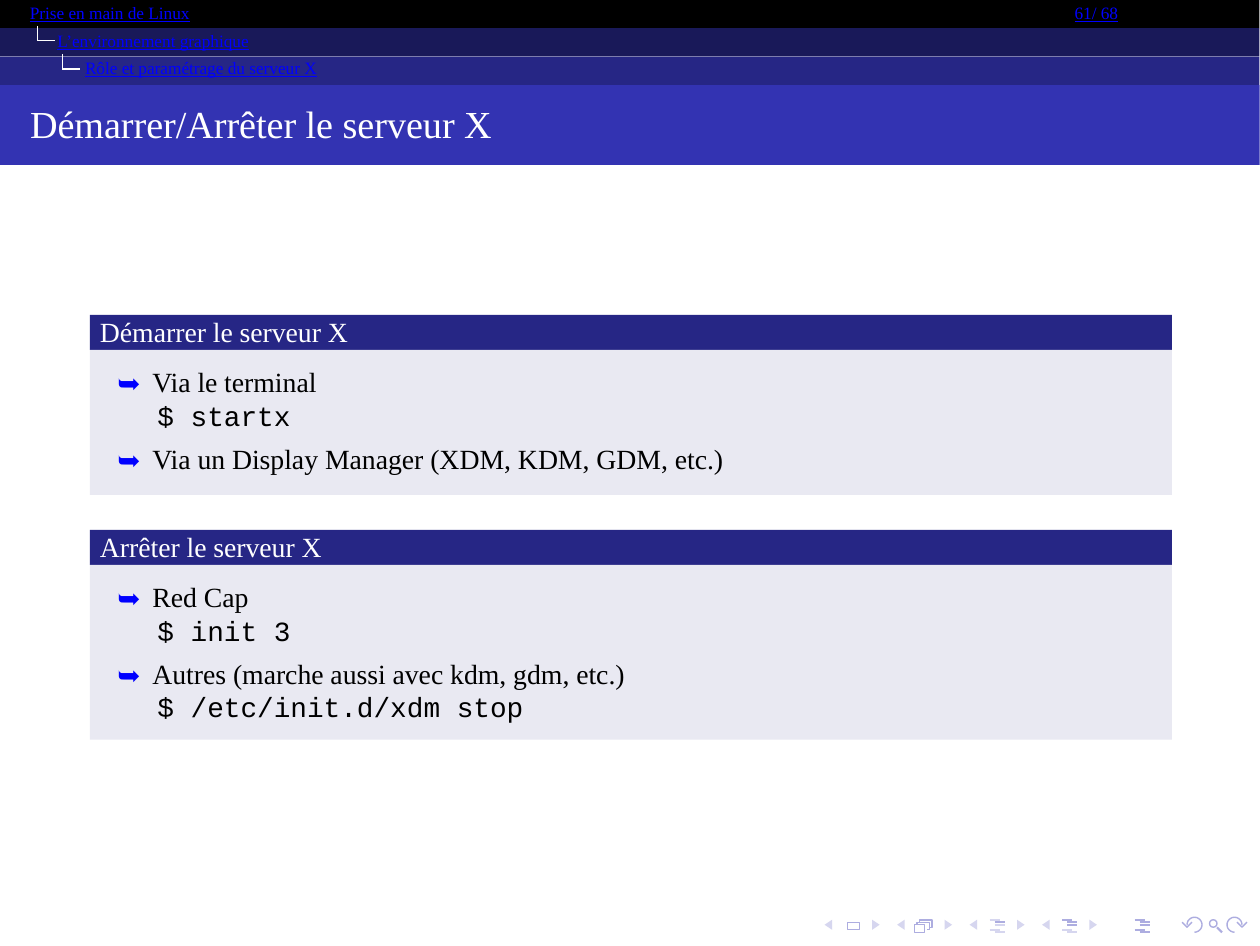
"""Build the slide on starting and stopping the X server."""
import math

from lxml import etree
from pptx import Presentation
from pptx.dml.color import RGBColor
from pptx.enum.shapes import MSO_CONNECTOR, MSO_SHAPE
from pptx.enum.text import MSO_ANCHOR, MSO_AUTO_SIZE, PP_ALIGN
from pptx.oxml.ns import qn
from pptx.util import Inches, Pt

STRAIGHT = MSO_CONNECTOR.STRAIGHT
RECTANGLE, OVAL = MSO_SHAPE.RECTANGLE, MSO_SHAPE.OVAL
TOP, LEFT, NO_AUTOFIT = MSO_ANCHOR.TOP, PP_ALIGN.LEFT, MSO_AUTO_SIZE.NONE
SERIF, MONO, BULLET_FONT = "Times New Roman", "Courier New", "Noto Sans CJK JP"
WHITE, BLACK, LINK = "FFFFFF", "000000", "0000FF"
TITLE_BLUE, HEADING_BLUE, BLOCK_GREY = "3333B2", "262685", "E9E9F2"
NAV_DARK, NAV_LIGHT = "ADADE0", "D6D6EF"
BAND_WIDTH = 5.04


def rgb(hex_color):
    return RGBColor.from_string(hex_color)


class LectureSlide:
    def __init__(self, slide):
        self.slide = slide
        self.shapes = slide.shapes

    def paint(self, shape, fill=None, line=None, weight=0.4):
        shape.shadow.inherit = False
        if fill:
            shape.fill.solid()
            shape.fill.fore_color.rgb = rgb(fill)
        else:
            shape.fill.background()
        if line:
            shape.line.color.rgb = rgb(line)
            shape.line.width = Pt(weight)
        else:
            shape.line.fill.background()

    def box(self, kind, left, top, width, height, **style):
        shape = self.shapes.add_shape(
            kind, Inches(left), Inches(top), Inches(width), Inches(height))
        self.paint(shape, **style)

    def outline(self, contours, closed=False, **style):
        first, *others = [[(Inches(x), Inches(y)) for x, y in c] for c in contours]
        builder = self.shapes.build_freeform(*first[0], scale=1.0)
        builder.add_line_segments(first[1:], close=closed)
        for contour in others:
            builder.move_to(*contour[0])
            builder.add_line_segments(contour[1:], close=closed)
        self.paint(builder.convert_to_shape(), **style)

    def line(self, x1, y1, x2, y2, color, weight=0.4):
        connector = self.shapes.add_connector(
            STRAIGHT, Inches(x1), Inches(y1), Inches(x2), Inches(y2))
        connector.line.color.rgb = rgb(color)
        connector.line.width = Pt(weight)
        etree.SubElement(connector._element.spPr, qn("a:effectLst"))

    def frame(self, text_frame, left=0, top=0, wrap=True):
        text_frame.auto_size = NO_AUTOFIT
        text_frame.word_wrap = wrap
        text_frame.vertical_anchor = TOP
        text_frame.margin_left, text_frame.margin_top = Inches(left), Inches(top)
        text_frame.margin_right = text_frame.margin_bottom = 0

    def style(self, paragraph, size, color, font=SERIF, underline=None):
        paragraph.alignment = LEFT
        paragraph.font.size = Pt(size)
        paragraph.font.name = font
        paragraph.font.bold = False
        paragraph.font.underline = underline
        paragraph.font.color.rgb = rgb(color)
        paragraph._p.pPr.find(qn("a:defRPr")).set("spc", "-4")

    def crumb(self, text, left, top, width):
        label = self.shapes.add_textbox(
            Inches(left), Inches(top), Inches(width), Inches(0.09)).text_frame
        self.frame(label, wrap=False)
        label.text = text
        self.style(label.paragraphs[0], 5, LINK, underline=True)

    def placeholder(self, index, top, height, fill, left=0.36, width=4.33):
        holder = self.slide.placeholders[index]
        holder.left, holder.top = Inches(left), Inches(top)
        holder.width, holder.height = Inches(width), Inches(height)
        holder.fill.solid()
        holder.fill.fore_color.rgb = rgb(fill)
        return holder.text_frame

    def title(self, text):
        title = self.placeholder(0, 0.34, 0.32, TITLE_BLUE, 0, BAND_WIDTH)
        self.frame(title, 0.12, 0.06)
        title.text = text
        self.style(title.paragraphs[0], 11, WHITE)

    def heading(self, index, text, top):
        heading = self.placeholder(index, top, 0.14, HEADING_BLUE)
        self.frame(heading, 0.04)
        heading.text = text
        heading.paragraphs[0].space_before = 0
        self.style(heading.paragraphs[0], 8, WHITE)

    def bullet(self, paragraph, is_command):
        properties = paragraph._p.get_or_add_pPr()
        properties.set("marL", str(Inches(0.27 if is_command else 0.25)))
        properties.set("indent", str(0 if is_command else Inches(-0.14)))
        if is_command:
            etree.SubElement(properties, qn("a:buNone"))
            return
        color = etree.SubElement(properties, qn("a:buClr"))
        etree.SubElement(color, qn("a:srgbClr"), val=LINK)
        etree.SubElement(properties, qn("a:buFont"), typeface=BULLET_FONT)
        etree.SubElement(properties, qn("a:buChar"), char="➥")

    def steps(self, index, lines, top, height):
        body = self.placeholder(index, top, height, BLOCK_GREY)
        self.frame(body, top=0.06)
        body.text = "\n".join(lines)
        for number, paragraph in enumerate(body.paragraphs):
            is_command = paragraph.text.startswith("$")
            self.bullet(paragraph, is_command)
            paragraph.line_spacing = Pt(9.6)
            paragraph.space_before = Pt(2.9 if number and not is_command else 0)
            self.style(paragraph, 8, BLACK, MONO if is_command else SERIF)

    def breadcrumbs(self, trail, page):
        step = 0.34 / len(trail)
        for level, (text, color, left, width) in enumerate(trail):
            self.box(RECTANGLE, 0, level * step, BAND_WIDTH, step, fill=color)
            self.crumb(text, left, 0.01 + level * 0.11, width)
        for level in range(1, len(trail)):
            x, y = 0.05 + level * 0.1, 0.05 + level * step
            self.line(x, y - 0.06, x, y, WHITE)
            self.line(x, y, x + 0.07, y, WHITE)
        self.crumb(page, 4.3, 0.01, 0.19)

    def navigation(self):
        self.box(RECTANGLE, 3.39, 3.69, 0.05, 0.03, line=NAV_DARK)
        for group in range(4):
            for base, tip in ((3.33, 3.3), (3.49, 3.52)):
                shift = group * 0.29
                self.outline([[(base + shift, 3.68), (tip + shift, 3.7),
                               (base + shift, 3.72)]], closed=True, fill=NAV_LIGHT)
        self.outline([
            [(3.66, 3.73), (3.7, 3.73), (3.7, 3.7), (3.66, 3.7), (3.66, 3.73)],
            [(3.67, 3.7), (3.67, 3.69), (3.72, 3.69), (3.72, 3.72), (3.71, 3.72)],
            [(3.68, 3.69), (3.68, 3.68), (3.73, 3.68), (3.73, 3.71), (3.72, 3.71)],
        ], line=NAV_DARK)
        bars = ((0, 3.68), (0.02, 3.69), (0.02, 3.7), (0, 3.72), (0.02, 3.73))
        for left, dark_rows in ((3.96, {1}), (4.25, {0, 1, 2}), (4.54, set(range(5)))):
            for row, (indent, y) in enumerate(bars):
                color = NAV_DARK if row in dark_rows else NAV_LIGHT
                self.line(left + indent, y, left + indent + 0.04, y, color, 0.6)
        self.line(4.87, 3.71, 4.89, 3.73, NAV_DARK, 0.6)
        self.box(OVAL, 4.84, 3.68, 0.03, 0.03, line=NAV_DARK)
        turns = [math.radians(angle) for angle in range(90, -181, -15)]
        arc = [(4.78 + 0.03 * math.cos(t), 3.7 + 0.03 * math.sin(t)) for t in turns]
        arrowhead = [(4.77, 3.69), (4.75, 3.71), (4.73, 3.69)]
        self.outline([arc, arrowhead], line=NAV_DARK)
        self.outline([[(9.72 - x, y) for x, y in part] for part in (arc, arrowhead)],
                     line=NAV_DARK)


def main():
    deck = Presentation()
    deck.slide_width, deck.slide_height = Pt(363), Pt(272.5)
    page = LectureSlide(deck.slides.add_slide(deck.slide_layouts[4]))
    page.navigation()
    page.breadcrumbs([
        ("Prise en main de Linux", BLACK, 0.12, 0.66),
        ("L’environnement graphique", "191959", 0.23, 0.78),
        ("Rôle et paramétrage du serveur X", HEADING_BLUE, 0.34, 0.95),
    ], "61/ 68")
    page.title("Démarrer/Arrêter le serveur X")
    page.heading(1, "Démarrer le serveur X", 1.26)
    page.steps(2, ["Via le terminal", "$ startx",
                   "Via un Display Manager (XDM, KDM, GDM, etc.)"], 1.4, 0.58)
    page.heading(3, "Arrêter le serveur X", 2.12)
    page.steps(4, ["Red Cap", "$ init 3", "Autres (marche aussi avec kdm, gdm, etc.)",
                   "$ /etc/init.d/xdm stop"], 2.26, 0.7)
    deck.save("out.pptx")


if __name__ == "__main__":
    main()
